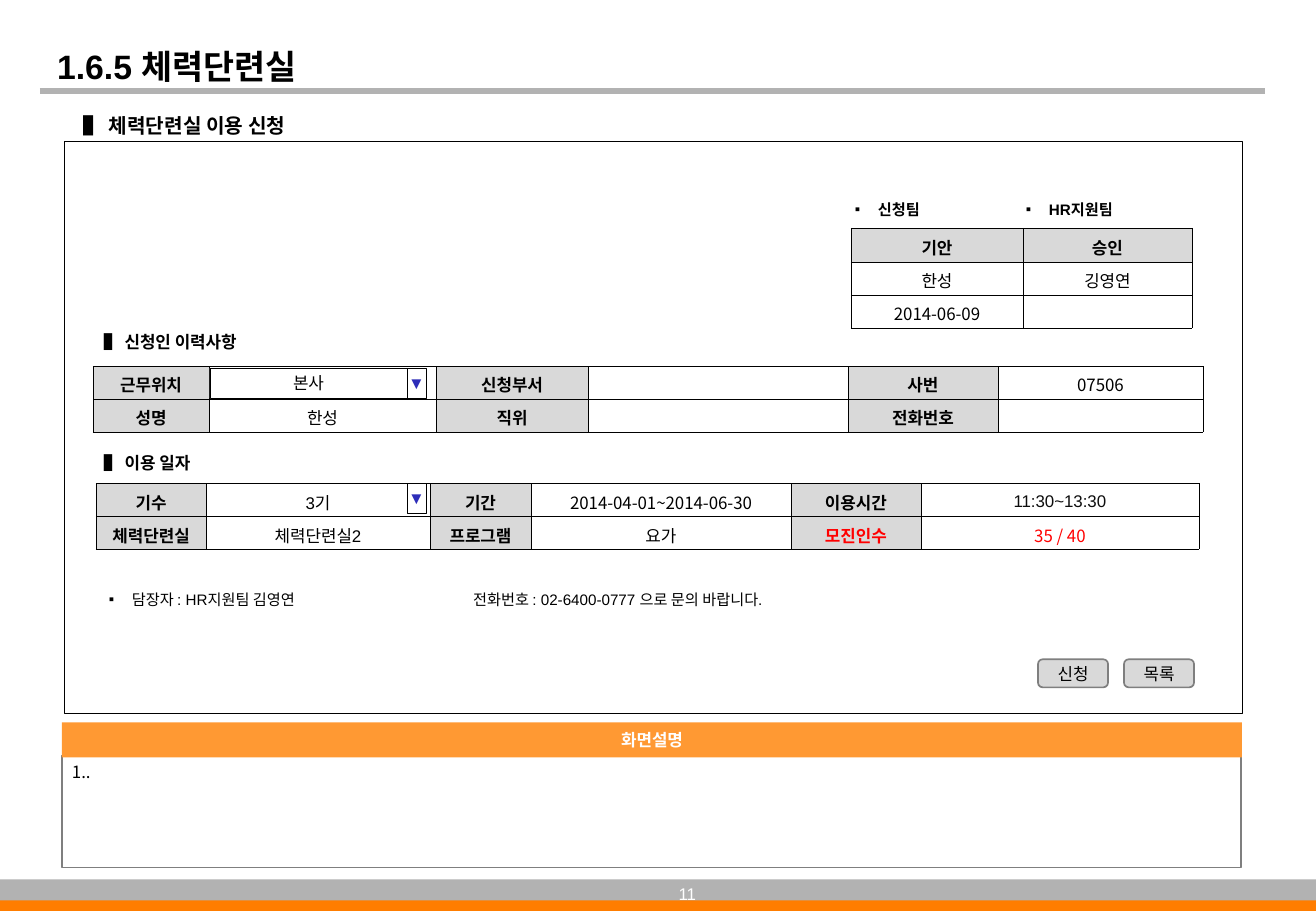
from lxml import etree
from pptx import Presentation
from pptx import util as u
from pptx.dml.color import RGBColor
from pptx.enum import shapes, text
from pptx.oxml.ns import qn

SCALE = 914400 / 121.4
LEFT, MID, RIGHT = text.PP_ALIGN.LEFT, text.PP_ALIGN.CENTER, text.PP_ALIGN.RIGHT
TOP, CENTRE, LOW = (text.MSO_ANCHOR.TOP, text.MSO_ANCHOR.MIDDLE,
                    text.MSO_ANCHOR.BOTTOM)
RECT = shapes.MSO_SHAPE.RECTANGLE
ROUND = shapes.MSO_SHAPE.ROUNDED_RECTANGLE
NOTO, ARIAL = "Noto Sans CJK KR", "Arial"
BLACK, WHITE, GREY, EDGE = "000000", "FFFFFF", "D9D9D9", "7F7F7F"


def px(n):
    """Turn pixels into EMU."""
    return u.Emu(round(n * SCALE))


def paint(part, color):
    """Give a fill a solid colour, or none."""
    if color:
        part.solid()
        part.fore_color.rgb = RGBColor.from_string(color)
    else:
        part.background()


def node(top, tag, **attrs):
    """Add an XML child in the drawing namespace."""
    return etree.SubElement(top, qn("a:" + tag), attrs)


class Page:
    """Style and current slide."""

    def __init__(self, deck):
        """Start a title-only slide."""
        self.slide = deck.slides.add_slide(deck.slide_layouts[5])
        self.items = self.slide.shapes

    def style(self, para, size=10, font=NOTO, color=BLACK, bold=False, align=LEFT):
        """Format a paragraph and its runs."""
        para.alignment = align
        for run in para.runs:
            run.font.size, run.font.bold = u.Pt(size), bold
            run.font.name = font
            paint(run.font.fill, color)
            node(run._r.get_or_add_rPr(), "ea", typeface=NOTO)

    def put(self, item, words, pads=(12, 6), anchor=TOP, wrap=True, **look):
        """Set the text of a shape; pads are side and top/bottom insets."""
        frame = item.text_frame
        frame.text = words
        frame.word_wrap = wrap
        frame.auto_size = text.MSO_AUTO_SIZE.NONE
        frame.vertical_anchor = anchor
        frame.margin_left = frame.margin_right = px(pads[0])
        frame.margin_top = frame.margin_bottom = px(pads[1])
        self.style(frame.paragraphs[0], **look)
        return frame.paragraphs[0]

    def title(self, box, words):
        """Place and format the title."""
        item = self.items.title
        item.left, item.top, item.width, item.height = map(px, box)
        self.put(item, words, (12, 3), LOW, size=20, font=ARIAL, bold=True)

    def rule(self, left, right, y, color, width):
        """Draw a level line."""
        item = self.items.add_connector(
            shapes.MSO_CONNECTOR.STRAIGHT, px(left), px(y), px(right), px(y))
        paint(item.line.fill, color)
        item.line.width = u.Pt(width)
        node(item._element.spPr, "effectLst")

    def box(self, box, fill=None, line=None, width=0.26, kind=RECT, words="", **look):
        """Draw a preset shape, with text if given."""
        item = self.items.add_shape(kind, *map(px, box))
        item.shadow.inherit = False
        paint(item.fill, fill)
        paint(item.line.fill, line)
        if line:
            item.line.width = u.Pt(width)
        if words:
            self.put(item, words, **look)

    def label(self, box, words, **look):
        """Add a text box and return its paragraph."""
        return self.put(self.items.add_textbox(*map(px, box)), words, **look)

    def point(self, box, words, bold=False):
        """Add a line with a square bullet."""
        para = self.label(box, words, wrap=False, size=9, font=ARIAL, bold=bold)
        props = para._p.get_or_add_pPr()
        props.set("marL", str(px(23)))
        props.set("indent", str(-px(23)))
        node(props, "buFont", typeface=ARIAL)
        node(props, "buChar", char="▪")
        tabs = node(props, "tabLst")
        for inch in range(1, 5):
            node(tabs, "tab", pos=str(u.Inches(inch)), algn="l")

    def grid(self, left, top, cols, rows, cells, heads, looks):
        """Add a table; heads tells head cells, looks holds exceptions."""
        item = self.items.add_table(len(rows), len(cols), px(left), px(top),
                                    px(sum(cols)), px(sum(rows)))
        table = item.table
        for col, width in zip(table.columns, cols):
            col.width = px(width)
        for r, high in enumerate(rows):
            table.rows[r].height = px(high)
            for c, words in enumerate(cells[r]):
                head = heads(r, c)
                look = {"bold": head, "align": MID, **looks.get(words, {})}
                self.cell(table.cell(r, c), words, GREY if head else None, look)

    def cell(self, cell, words, fill, look):
        """Fill one table cell and draw its borders."""
        cell.text = words
        cell.vertical_anchor = CENTRE
        cell.margin_left = cell.margin_right = px(5)
        cell.margin_top, cell.margin_bottom = px(4), 0
        para = cell.text_frame.paragraphs[0]
        self.style(para, **look)
        if not words:
            para._p.get_or_add_endParaRPr().set("sz", "1000")
        paint(cell.fill, fill)
        props = cell._tc.get_or_add_tcPr()
        for i, side in enumerate(("lnL", "lnR", "lnT", "lnB")):
            edge = node(props, side, w=str(u.Pt(0.23)))
            node(node(edge, "solidFill"), "srgbClr", val=BLACK)
            props.insert(i, edge)


def main():
    """Build the gym request form."""
    deck = Presentation()
    deck.slide_width, deck.slide_height = u.Inches(10.84), u.Inches(7.5)
    page = Page(deck)
    page.rule(40, 1265, 91, "B2B2B2", 3)
    page.box((0, 891, 1316, 20), "FF7D00")
    page.box((0, 879, 1316, 21), "B2B2B2")
    page.title((45, 28, 978, 61), "1.6.5 체력단련실")
    page.box((62, 755, 1179, 112), WHITE, EDGE, 0.74, words="1..", pads=(10, 6))
    page.box((62, 722, 1180, 35), "FF9933", words="화면설명", anchor=CENTRE,
             wrap=False, color=WHITE, bold=True, align=MID)
    page.box((64, 141, 1178, 572), line=BLACK)

    for x, y, high, size, words in ((72, 107, 36, 12, "체력단련실 이용 신청"),
                                    (92, 325, 33, 10, "신청인 이력사항"),
                                    (92, 446, 33, 10, "이용 일자")):
        page.label((x, y, 481, high), "▌ " + words, size=size, bold=True)

    def even(r, c):
        """Tell whether the column holds field names."""
        return c % 2 == 0

    page.grid(851, 228, (172, 169), (34, 33, 33),
              (("기안", "승인"), ("한성", "깅영연"), ("2014-06-09", "")),
              lambda r, c: r == 0, {})
    page.grid(93, 366, (116, 227, 152, 260, 150, 205), (33, 33),
              (("근무위치", "", "신청부서", "", "사번", "07506"),
               ("성명", "한성", "직위", "", "전화번호", "")), even, {})
    page.grid(96, 483, (110, 224, 101, 260, 130, 278), (33, 33),
              (("기수", "3기", "기간", "2014-04-01~2014-06-30", "이용시간",
                "11:30~13:30"),
               ("체력단련실", "체력단련실2", "프로그램", "요가", "모진인수",
                "35 / 40")), even,
              {"3기": {"font": ARIAL}, "체력단련실2": {"font": ARIAL},
               "11:30~13:30": {"font": ARIAL, "color": "0D0D0D"},
               "모진인수": {"color": "FF0000"}, "35 / 40": {"color": "FF0000"}})

    page.box((210, 368, 197, 30), WHITE, BLACK, words="본사", pads=(5, 3),
             anchor=CENTRE, align=MID)
    for y in (368, 483):
        page.box((407, y, 19, 30), line=BLACK, words="▼", pads=(0, 5),
                 anchor=CENTRE, font=ARIAL, color="2D2DB9", align=MID)
    for x, words in ((1038, "신청"), (1124, "목록")):
        page.box((x, 659, 70, 28), GREY, EDGE, 0.99, ROUND, words, pads=(0, 0),
                 anchor=CENTRE, align=MID)

    page.point((843, 194, 89, 30), "신청팀", True)
    page.point((1014, 194, 114, 30), "HR지원팀", True)
    page.point((97, 584, 691, 30), "담장자 : HR지원팀 김영연\t\t"
               "전화번호 : 02-6400-0777 으로 문의 바랍니다.")
    page.label((607, 877, 101, 33), "11", anchor=CENTRE, wrap=False,
               font=ARIAL, color=WHITE, align=RIGHT)
    deck.save("out.pptx")


main()
